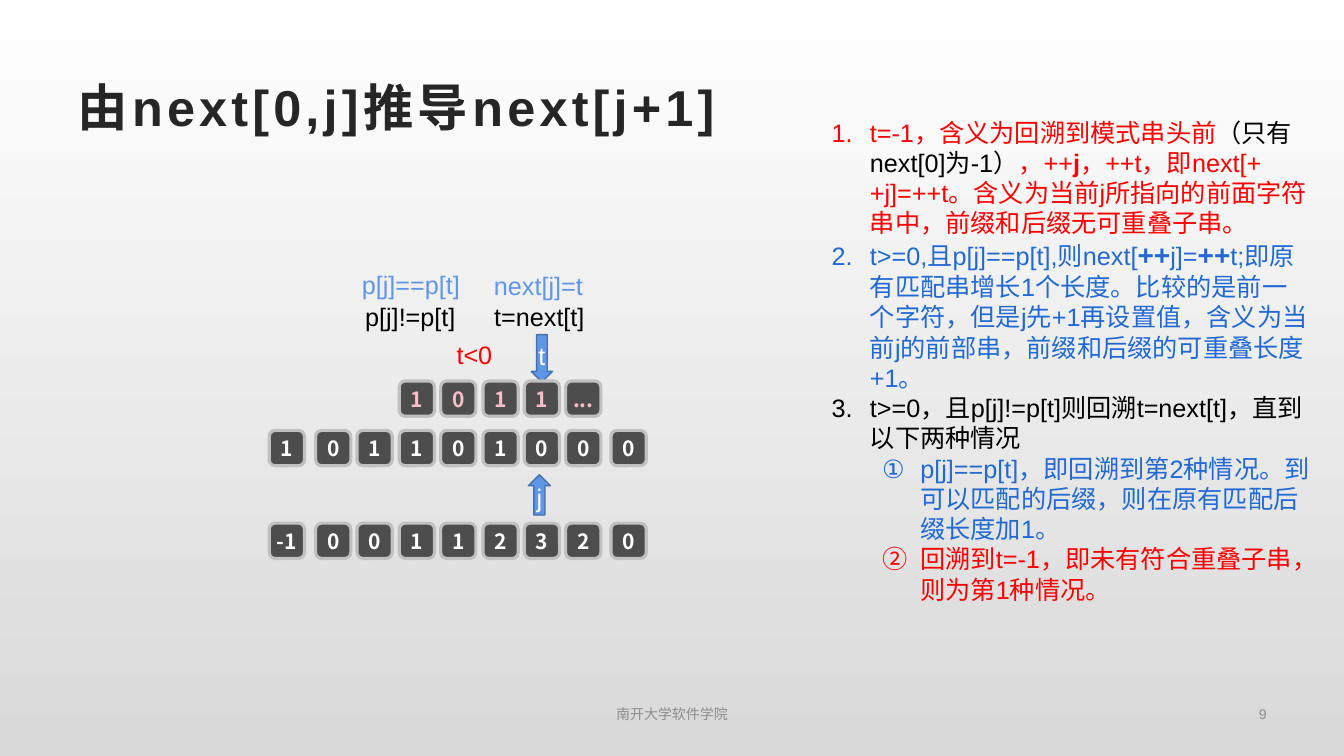
"""Build the slide that derives next[j+1] from next[0,j]."""
from dataclasses import dataclass
from typing import Optional

import lxml.etree
import pptx
import pptx.dml.color
import pptx.enum.shapes
import pptx.enum.text
import pptx.oxml.ns
import pptx.util

EMU_PER_PX = 9144
ALIGN = pptx.enum.text.PP_ALIGN
ANCHOR = pptx.enum.text.MSO_ANCHOR
SHAPE = pptx.enum.shapes.MSO_SHAPE
BLACK, WHITE, RED, BLUE, SKY = "000000", "FFFFFF", "FF0000", "2169D3", "6096E6"
GREY, PINK = "8C8C8C", "F7BFC7"
CELL_SIZE = 35
COLUMNS = [267, *(313 + round(41.4 * step) for step in range(7)), 606]


@dataclass(frozen=True)
class Label:
    text: str
    left: int
    top: int
    width: int
    height: int
    color: str
    size: int = 18
    align: ALIGN = ALIGN.CENTER
    anchor: ANCHOR = ANCHOR.TOP
    bold: bool = False
    wrap: bool = False
    spacing: int = 0


@dataclass(frozen=True)
class CellRow:
    values: tuple[str, ...]
    top: int
    color: str = WHITE
    first_column: int = 0


@dataclass(frozen=True)
class Arrow:
    text: str
    kind: SHAPE
    left: int
    top: int
    width: int
    height: int


@dataclass(frozen=True)
class Piece:
    text: str
    color: Optional[str] = None
    bold: bool = False
    size: Optional[int] = None


@dataclass(frozen=True)
class Item:
    color: str
    pieces: tuple[Piece, ...]
    level: int = 0


LABELS = [
    Label("由next[0,j]推导next[j+1]", 67, 67, 1200, 77, "262626", 36,
          ALIGN.LEFT, ANCHOR.MIDDLE, bold=True, wrap=True, spacing=300),
    Label("t<0", 431, 332, 79, 40, RED),
    Label("p[j]==p[t]", 349, 262, 117, 40, SKY),
    Label("p[j]!=p[t]", 352, 294, 110, 40, BLACK),
    Label("t=next[t]", 473, 294, 124, 40, BLACK),
    Label("next[j]=t", 480, 263, 108, 40, SKY),
    Label("9", 971, 691, 295, 35, GREY, 10, ALIGN.RIGHT, ANCHOR.MIDDLE, wrap=True),
    Label("南开大学软件学院", 450, 691, 433, 35, GREY, 10, anchor=ANCHOR.MIDDLE, wrap=True),
]
ARROWS = [
    Arrow("j", SHAPE.UP_ARROW, 524, 471, 22, 40),
    Arrow("t", SHAPE.DOWN_ARROW, 527, 332, 21, 47),
]
ROWS = [
    CellRow(("1", "0", "1", "1", "..."), 378, PINK, first_column=3),
    CellRow(("1", "0", "1", "1", "0", "1", "0", "0", "0"), 427),
    CellRow(("-1", "0", "0", "1", "1", "2", "3", "2", "0"), 519),
]
ITEMS = [
    Item(RED, (
        Piece("t=-1，含义为回溯到模式串头前"),
        Piece("（只有next[0]为-1）", BLACK),
        Piece("，++"),
        Piece("j", bold=True),
        Piece("，++t，即next[++j]=++t。含义为当前j所指向的前面字符串中，前缀和后缀无可重叠子串。"),
    )),
    Item(BLUE, (
        Piece("t>=0,且p[j]==p[t],则next["),
        Piece("++", bold=True, size=20),
        Piece("j]="),
        Piece("++", bold=True, size=20),
        Piece("t;即原有匹配串增长1个长度。比较的是前一个字符，但是j先+1再设置值，"
              "含义为当前j的前部串，前缀和后缀的可重叠长度+1。"),
    )),
    Item(BLACK, (Piece("t>=0，且p[j]!=p[t]则回溯t=next[t]，直到以下两种情况"),)),
    Item(BLUE, (Piece("p[j]==p[t]，即回溯到第2种情况。到可以匹配的后缀，则在原有匹配后缀长度加1。"),), 1),
    Item(RED, (Piece("回溯到t=-1，即未有符合重叠子串，则为第1种情况。"),), 1),
]


def px(length: int) -> pptx.util.Emu:
    return pptx.util.Emu(length * EMU_PER_PX)


def rgb(color: str) -> pptx.dml.color.RGBColor:
    return pptx.dml.color.RGBColor.from_string(color)


def set_font(font, color: str, size: int, name: str = "Arial", bold: bool = False) -> None:
    font.name, font.size, font.bold = name, pptx.util.Pt(size), bold
    font.color.rgb = rgb(color)


def paint_background(slide) -> None:
    fill = slide.background.fill
    fill.gradient()
    fill.gradient_angle = 270
    for stop, color in zip(fill.gradient_stops, (WHITE, "D9D9D9")):
        stop.color.rgb = rgb(color)


def add_label(slide, label: Label) -> None:
    shape = slide.shapes.add_textbox(*map(px, (label.left, label.top, label.width, label.height)))
    frame = shape.text_frame
    frame.word_wrap, frame.vertical_anchor = label.wrap, label.anchor
    paragraph = frame.paragraphs[0]
    paragraph.alignment = label.align
    run = paragraph.add_run()
    run.text = label.text
    if label.spacing:
        run._r.get_or_add_rPr().set("spc", str(label.spacing))
    set_font(paragraph.font, label.color, label.size, bold=label.bold)


def add_filled_shape(slide, kind: SHAPE, box: tuple[int, ...], fill: str,
                     line: str, line_width: float, text: str):
    shape = slide.shapes.add_shape(kind, *map(px, box))
    shape.shadow.inherit = False
    shape.fill.solid()
    shape.fill.fore_color.rgb = rgb(fill)
    shape.line.color.rgb = rgb(line)
    shape.line.width = pptx.util.Pt(line_width)
    frame = shape.text_frame
    frame.text, frame.vertical_anchor = text, ANCHOR.MIDDLE
    frame.paragraphs[0].alignment = ALIGN.CENTER
    return shape


def add_arrow(slide, arrow: Arrow) -> None:
    box = (arrow.left, arrow.top, arrow.width, arrow.height)
    shape = add_filled_shape(slide, arrow.kind, box, SKY, "476FAA", 1, arrow.text)
    set_font(shape.text_frame.paragraphs[0].font, WHITE, 18)


def add_row(slide, row: CellRow) -> None:
    for left, value in zip(COLUMNS[row.first_column:], row.values):
        box = (left, row.top, CELL_SIZE, CELL_SIZE)
        shape = add_filled_shape(slide, SHAPE.ROUNDED_RECTANGLE, box, "4D4D4D", "C0C0C0", 2.25, value)
        frame = shape.text_frame
        frame.word_wrap = False
        frame.margin_left = frame.margin_right = frame.margin_top = frame.margin_bottom = 0
        set_font(frame.paragraphs[0].font, row.color, 15, "Noto Sans CJK SC", True)


def add_list(slide, items: list[Item]) -> None:
    frame = slide.shapes.add_textbox(*map(px, (815, 111, 494, 528))).text_frame
    frame.word_wrap = True
    for index, item in enumerate(items):
        paragraph = frame.add_paragraph() if index else frame.paragraphs[0]
        paragraph.level = item.level
        properties = paragraph._p.get_or_add_pPr()
        properties.set("marL", str(px(38 + 50 * item.level)))
        properties.set("indent", str(px(-38)))
        bullet = lxml.etree.SubElement(properties, pptx.oxml.ns.qn("a:buAutoNum"))
        bullet.set("type", "circleNumDbPlain" if item.level else "arabicPeriod")
        set_font(paragraph.font, item.color, 18)
        for piece in item.pieces:
            run = paragraph.add_run()
            run.text = piece.text
            if len(item.pieces) > 1:
                set_font(run.font, piece.color or item.color, piece.size or 18, bold=piece.bold)


def main() -> None:
    presentation = pptx.Presentation()
    presentation.slide_width, presentation.slide_height = px(1333), px(750)
    slide = presentation.slides.add_slide(presentation.slide_layouts[6])
    paint_background(slide)
    for label in LABELS:
        add_label(slide, label)
    for arrow in ARROWS:
        add_arrow(slide, arrow)
    for row in ROWS:
        add_row(slide, row)
    add_list(slide, ITEMS)
    presentation.save("out.pptx")


if __name__ == "__main__":
    main()
